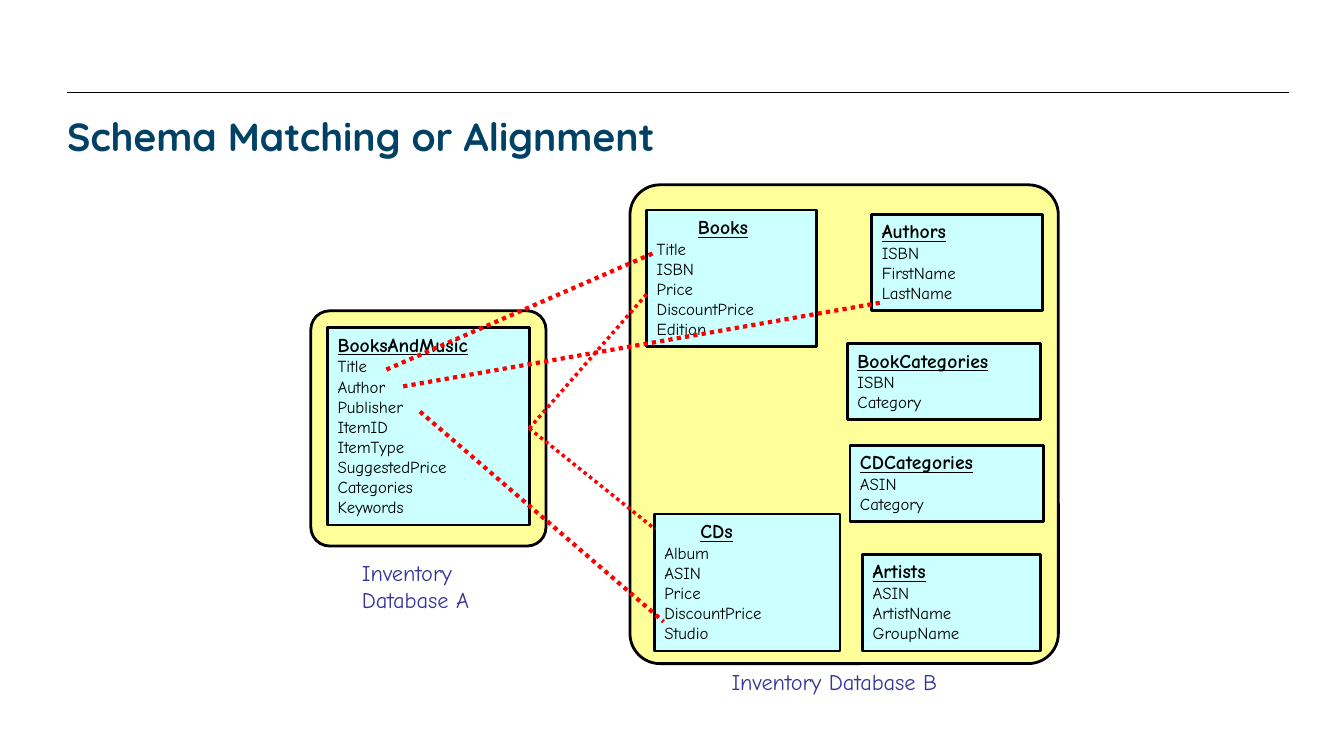
from dataclasses import dataclass

from lxml import etree
from pptx import Presentation
from pptx.dml.color import RGBColor
from pptx.enum.dml import MSO_LINE
from pptx.enum.shapes import MSO_CONNECTOR, MSO_SHAPE
from pptx.enum.text import MSO_ANCHOR, PP_ALIGN
from pptx.oxml.ns import qn
from pptx.util import Inches, Pt

RECT, ROUNDED = MSO_SHAPE.RECTANGLE, MSO_SHAPE.ROUNDED_RECTANGLE
STRAIGHT, DOTTED = MSO_CONNECTOR.STRAIGHT, MSO_LINE.ROUND_DOT
LEFT, TOP, MIDDLE = PP_ALIGN.LEFT, MSO_ANCHOR.TOP, MSO_ANCHOR.MIDDLE

TITLE = "Schema Matching or Alignment"
TITLE_AREA = (8, 13.4, 144, 5.6)
RULE = ((8, 11), (153.4, 11))

DATABASES = [
    ((75, 22, 51, 57), 0.07),
    ((37, 37, 28, 28), 0.08),
]
TABLES = [
    ("BooksAndMusic", (39, 39, 24),
     ["Title", "Author", "Publisher", "ItemID", "ItemType",
      "SuggestedPrice", "Categories", "Keywords"]),
    ("Books", (77, 25, 20.25), ["Title", "ISBN", "Price", "DiscountPrice", "Edition"]),
    ("CDs", (77.9, 61.2, 22.1), ["Album", "ASIN", "Price", "DiscountPrice", "Studio"]),
    ("BookCategories", (100.9, 40.9, 23), ["ISBN", "Category"]),
    ("CDCategories", (101.2, 53, 23), ["ASIN", "Category"]),
    ("Artists", (102.7, 66, 21.2), ["ASIN", "ArtistName", "GroupName"]),
    ("Authors", (103.8, 25.5, 20.3), ["ISBN", "FirstName", "LastName"]),
]
HEADING_UNDERLINES = {"Books": (4.9, 16.5), "CDs": (4.3, 13.9)}
LABELS = [
    (["Inventory", "Database A"], (41.9, 66, 23, 7.7)),
    (["Inventory Database B"], (85.9, 79, 33, 4.4)),
]
MATCHES = [
    ((46, 44), (78.1, 30), 3),
    ((50, 49), (79, 74), 3),
    ((48, 46), (105, 36), 3),
    ((63, 51), (77, 35), 2.5),
    ((63, 51), (78, 63), 2.5),
]

COLUMNS, ROWS = 160, 90
HEADING_HEIGHT, FIELD_HEIGHT = 4.3, 2.4


@dataclass(frozen=True)
class Theme:
    ink: str = "000000"
    title: str = "004266"
    label: str = "333399"
    database: str = "FFFF99"
    table: str = "CCFFFF"
    match: str = "FF0000"
    title_font: str = "Quicksand"
    body_font: str = "Comic Neue"
    title_size: float = 28
    label_size: float = 16
    heading_size: float = 14
    field_size: float = 12
    outline: float = 2
    rule: float = 0.75


theme = Theme()
deck = Presentation()
deck.slide_width, deck.slide_height = Inches(13.33), Inches(7.5)
slide = deck.slides.add_slide(deck.slide_layouts[5])


def across(cells):
    return round(deck.slide_width * cells / COLUMNS)


def down(cells):
    return round(deck.slide_height * cells / ROWS)


def place(area):
    x, y, w, h = area
    return across(x), down(y), across(w), down(h)


def style(paragraph, size, color, name=theme.body_font, bold=False, underline=False):
    paragraph.alignment = LEFT
    font = paragraph.font
    font.name, font.size, font.bold, font.underline = name, Pt(size), bold, underline
    font.color.rgb = RGBColor.from_string(color)


def fill_lines(frame, lines, size, color):
    frame.word_wrap = True
    frame.vertical_anchor = TOP
    for index, line in enumerate(lines):
        paragraph = frame.paragraphs[0] if index == 0 else frame.add_paragraph()
        paragraph.text = line
        style(paragraph, size, color)


def add_panel(kind, area, color):
    panel = slide.shapes.add_shape(kind, *place(area))
    panel.shadow.inherit = False
    panel.fill.solid()
    panel.fill.fore_color.rgb = RGBColor.from_string(color)
    panel.line.color.rgb = RGBColor.from_string(theme.ink)
    panel.line.width = Pt(theme.outline)
    return panel


def extend_underline(paragraph, start, end):
    paragraph.text += "\t"
    properties = paragraph._p.get_or_add_pPr()
    properties.set("marL", "0")
    properties.set("indent", str(across(start)))
    stops = etree.SubElement(properties, qn("a:tabLst"))
    etree.SubElement(stops, qn("a:tab"), pos=str(across(end)), algn="l")


def add_table_box(name, corner, fields):
    x, y, width = corner
    height = HEADING_HEIGHT + FIELD_HEIGHT * len(fields)
    frame = add_panel(RECT, (x, y, width, height), theme.table).text_frame
    fill_lines(frame, [name, *fields], theme.field_size, theme.ink)
    heading = frame.paragraphs[0]
    if name in HEADING_UNDERLINES:
        heading._p.remove(heading._p.pPr)
        extend_underline(heading, *HEADING_UNDERLINES[name])
    style(heading, theme.heading_size, theme.ink, bold=True, underline=True)


def add_line(start, end, color, width):
    line = slide.shapes.add_connector(
        STRAIGHT, across(start[0]), down(start[1]), across(end[0]), down(end[1]))
    line.line.color.rgb = RGBColor.from_string(color)
    line.line.width = Pt(width)
    etree.SubElement(line._element.spPr, qn("a:effectLst"))
    return line


title = slide.shapes.title
title.left, title.top, title.width, title.height = place(TITLE_AREA)
heading_frame = title.text_frame
heading_frame.text = TITLE
heading_frame.word_wrap = True
heading_frame.vertical_anchor = MIDDLE
heading_frame.margin_left = heading_frame.margin_right = 0
heading_frame.margin_top = heading_frame.margin_bottom = 0
style(heading_frame.paragraphs[0], theme.title_size, theme.title, theme.title_font, bold=True)

add_line(*RULE, theme.ink, theme.rule)
for area, rounding in DATABASES:
    add_panel(ROUNDED, area, theme.database).adjustments[0] = rounding
for table in TABLES:
    add_table_box(*table)
for lines, area in LABELS:
    label = slide.shapes.add_textbox(*place(area))
    fill_lines(label.text_frame, lines, theme.label_size, theme.label)
for start, end, width in MATCHES:
    add_line(start, end, theme.match, width).line.dash_style = DOTTED

deck.save("out.pptx")
